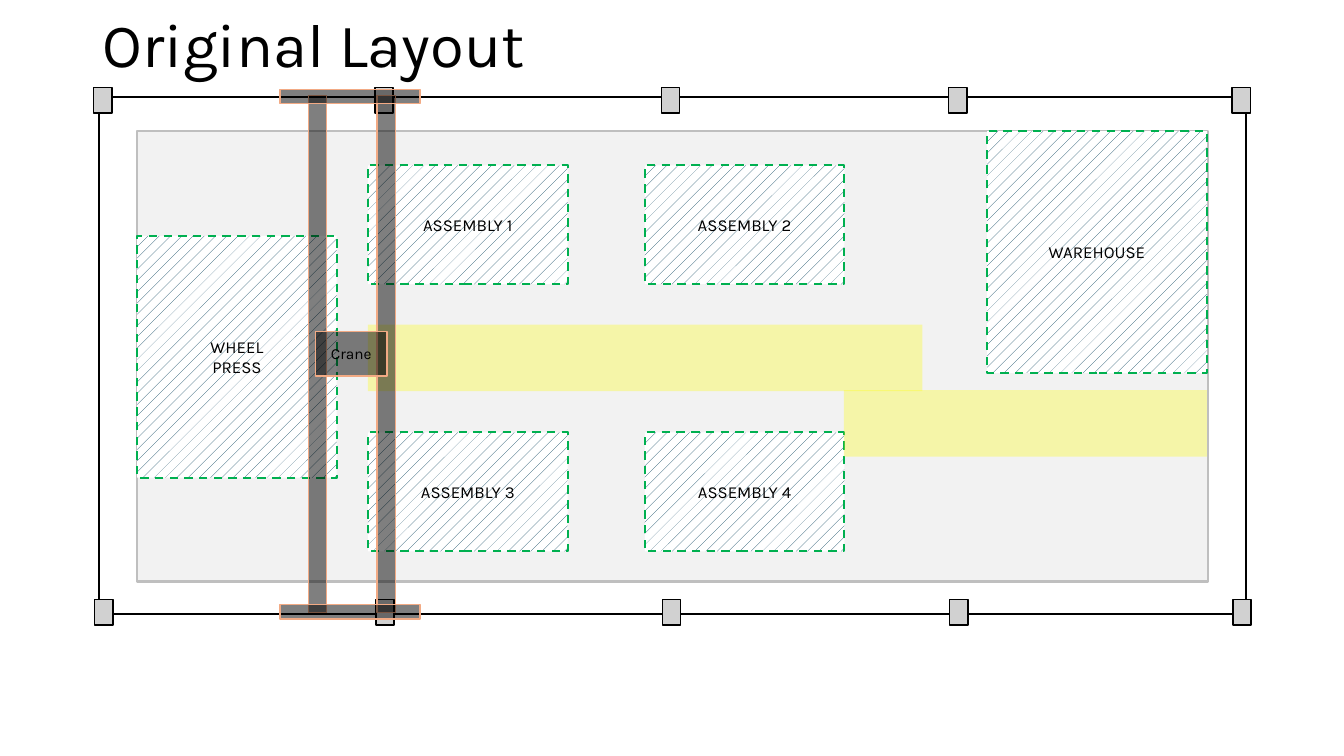
from pptx import Presentation
from pptx.dml.color import RGBColor
from pptx.enum.dml import MSO_LINE_DASH_STYLE as Dash, MSO_PATTERN_TYPE as Pattern
from pptx.enum.shapes import MSO_SHAPE as Shape
from pptx.enum.text import MSO_ANCHOR as Anchor, PP_ALIGN as Align
from pptx.oxml.ns import qn
from pptx.util import Inches, Pt
from lxml.etree import SubElement

CELL = Inches(0.1)
FONT = "Karla"
COLORS = {
    "black": "000000",
    "pillar": "D1D1D1",
    "floor": "F2F2F2",
    "floor_edge": "BFBFBF",
    "hatch": "104862",
    "white": "FFFFFF",
    "zone_edge": "00B050",
    "aisle": "FFFF00",
    "crane_edge": "F2AA84",
}
PILLAR_COLUMNS = (9.3, 37.2, 65.6, 94.1, 122.2)
ASSEMBLY_COLUMNS = (36.5, 63.95)
ASSEMBLY_ROWS = (16.4, 42.9)


def color(name):
    return RGBColor.from_string(COLORS[name])


def grid(*cells):
    return [round(CELL * cell) for cell in cells]


def add_box(shapes, area, fill=None, edge=None, weight=1, opacity=100):
    box = shapes.add_shape(Shape.RECTANGLE, *grid(*area))
    box.shadow.inherit = False
    if fill:
        box.fill.solid()
        box.fill.fore_color.rgb = color(fill)
    else:
        box.fill.background()
    if opacity < 100:
        tint = box.fill._xPr.find(qn("a:solidFill"))[0]
        SubElement(tint, qn("a:alpha")).set("val", str(opacity * 1000))
    if edge:
        box.line.color.rgb = color(edge)
        box.line.width = Pt(weight)
    else:
        box.line.fill.background()
    return box


def write(shape, text, size, align=Align.CENTER):
    frame = shape.text_frame
    frame.text = text
    frame.word_wrap = True
    frame.vertical_anchor = Anchor.MIDDLE
    for para in frame.paragraphs:
        para.alignment = align
        for span in para.runs:
            span.font.name = FONT
            span.font.size = Pt(size)
            span.font.color.rgb = color("black")


def add_zone(page, text, area):
    zone = add_box(page.shapes, area, edge="zone_edge", weight=1.5)
    zone.fill.patterned()
    zone.fill.pattern = Pattern.PERCENT_10
    zone.fill.fore_color.rgb = color("hatch")
    zone.fill.back_color.rgb = color("white")
    zone.line.dash_style = Dash.DASH
    write(zone, text, 12)


def add_building(page):
    shapes = page.shapes.add_group_shape().shapes
    add_box(shapes, (9.8, 9.6, 113.8, 51.3), edge="black", weight=1.5)
    for top, shift in ((8.7, 0), (59.5, 0.1)):
        for left in PILLAR_COLUMNS:
            add_box(shapes, (left + shift, top, 1.8, 2.5), "pillar", "black")
    add_box(shapes, (13.6, 13, 106.2, 44.7), "floor", "floor_edge", 1.5)


def add_zones(page):
    add_zone(page, "WHEEL\nPRESS", (13.6, 23.4, 19.8, 24))
    add_zone(page, "WAREHOUSE", (97.9, 13, 21.8, 24))
    number = 1
    for top in ASSEMBLY_ROWS:
        for left in ASSEMBLY_COLUMNS:
            add_zone(page, f"ASSEMBLY {number}", (left, top, 19.8, 11.8))
            number += 1


def add_aisles(page):
    shapes = page.shapes.add_group_shape().shapes
    for area in ((36.5, 32.2, 55, 6.6), (83.7, 38.7, 36, 6.6)):
        add_box(shapes, area, "aisle", opacity=30)


def add_crane(page):
    shapes = page.shapes.add_group_shape().shapes
    girders = [(left, 9.5, 1.8, 51.3) for left in (30.6, 37.4)]
    rails = [(27.75, top, 13.9, 1.4) for top in (8.9, 60)]
    for area in girders + rails:
        add_box(shapes, area, "black", "crane_edge", opacity=50)
    trolley = add_box(shapes, (31.3, 32.9, 7.1, 4.4), "black", "crane_edge", opacity=50)
    write(trolley, "Crane", 11)


def add_title(page, text):
    title = page.shapes.title
    title.left, title.top, title.width, title.height = grid(9.2, -0.2, 115, 9.8)
    write(title, text, 44, Align.LEFT)
    title.text_frame.paragraphs[0].line_spacing = 0.9


def main():
    deck = Presentation()
    deck.slide_width, deck.slide_height = Inches(13.33), Inches(7.5)
    page = deck.slides.add_slide(deck.slide_layouts.get_by_name("Title Only"))
    add_title(page, "Original Layout")
    add_building(page)
    add_zones(page)
    add_aisles(page)
    add_crane(page)
    deck.save("out.pptx")


if __name__ == "__main__":
    main()
